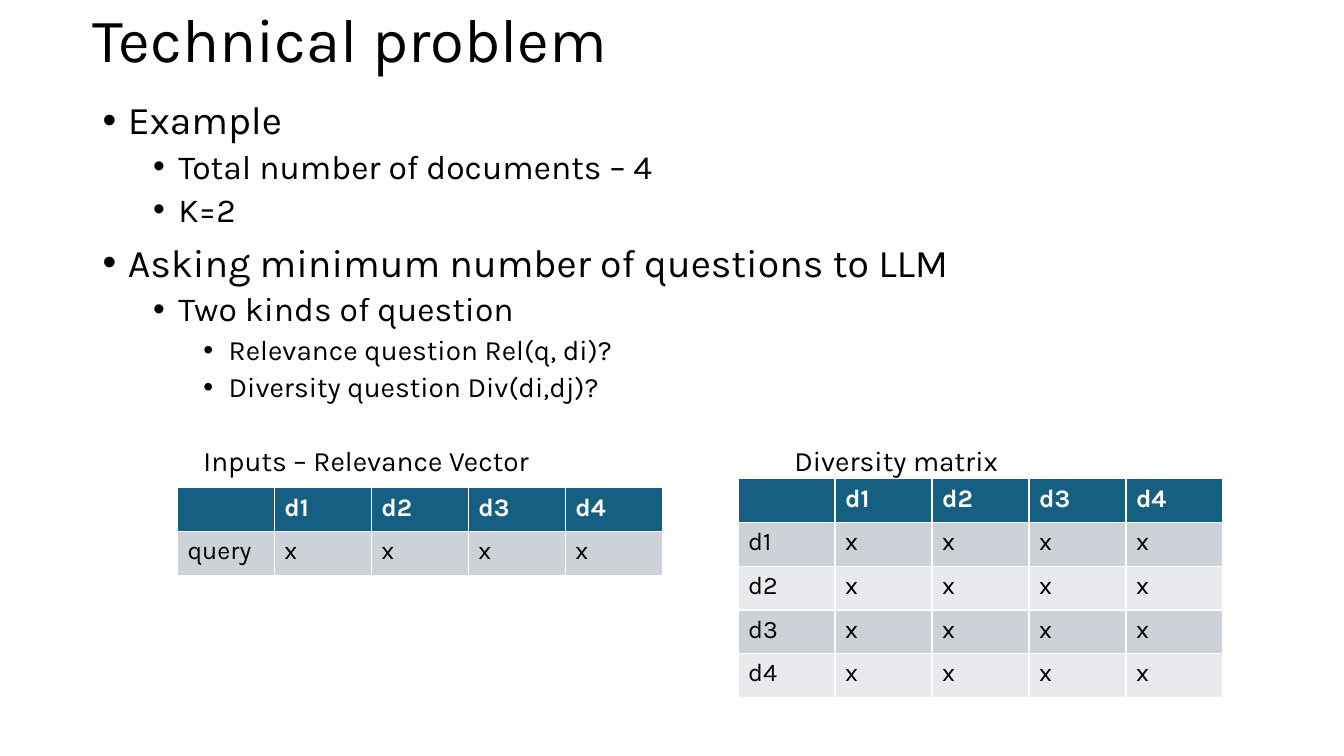
from pptx import Presentation
from pptx.dml.color import RGBColor
from pptx.enum.text import MSO_ANCHOR
from pptx.oxml import parse_xml
from pptx.oxml.ns import nsdecls
from pptx.util import Inches, Pt

FONT = "Karla"
BLACK, WHITE = "000000", "FFFFFF"
HEADER, BANDS = "156082", ("CCD2D8", "E8EAED")
SIZES = (28, 24, 20)
DOCS = ["d1", "d2", "d3", "d4"]
BULLETS = [
    (0, "Example"),
    (1, "Total number of documents – 4"),
    (1, "K=2"),
    (0, "Asking minimum number of questions to LLM"),
    (1, "Two kinds of question"),
    (2, "Relevance question Rel(q, di)?"),
    (2, "Diversity question Div(di,dj)?"),
]
CAPTIONS = [(1, "Inputs – Relevance Vector"), (6.86, "Diversity matrix")]


def rgb(value):
    return RGBColor.from_string(value)


def write(p, text, size, color=BLACK, bold=False):
    r = p.add_run()
    r.text = text
    for name, value in dict(name=FONT, size=Pt(size), bold=bold).items():
        setattr(r.font, name, value)
    r.font.color.rgb = rgb(color)


def add_text_box(slide, box):
    tf = slide.shapes.add_textbox(*map(Inches, box)).text_frame
    tf.word_wrap = True
    return tf


def add_title(slide, box, text):
    tf = add_text_box(slide, box)
    tf.vertical_anchor = MSO_ANCHOR.MIDDLE
    p = tf.paragraphs[0]
    p.line_spacing = 0.9
    write(p, text, 44)


def add_bullet(p, level):
    pPr = p._p.get_or_add_pPr()
    pPr.set("marL", str(Inches(0.25 + 0.5 * level)))
    pPr.set("indent", str(Inches(-0.25)))
    pPr.append(parse_xml(f'<a:buFont {nsdecls("a")} typeface="Arial"/>'))
    pPr.append(parse_xml(f'<a:buChar {nsdecls("a")} char="•"/>'))


def add_tabs(p, stops):
    tabs = "".join(f'<a:tab pos="{Inches(x)}" algn="l"/>' for x in stops)
    p._p.get_or_add_pPr().append(
        parse_xml(f'<a:tabLst {nsdecls("a")}>{tabs}</a:tabLst>'))


def add_body(slide, box):
    tf = add_text_box(slide, box)
    for i, (level, text) in enumerate(BULLETS):
        p = tf.add_paragraph() if i else tf.paragraphs[0]
        add_bullet(p, level)
        p.level = level
        p.line_spacing = 0.9
        if i:
            p.space_before = Pt(5 if level else 10)
        write(p, text, SIZES[level])
    p = tf.add_paragraph()
    add_tabs(p, [x for x, _ in CAPTIONS])
    p.line_spacing = 0.9
    p.space_before = Pt(31.5)
    write(p, "".join("\t" + text for _, text in CAPTIONS), 20)


def add_score_table(slide, box, labels):
    rows = [[""] + DOCS] + [[label] + ["x"] * len(DOCS) for label in labels]
    table = slide.shapes.add_table(
        len(rows), len(rows[0]), *map(Inches, box)).table
    for i, row in enumerate(rows):
        for j, text in enumerate(row):
            cell = table.cell(i, j)
            cell.fill.solid()
            cell.fill.fore_color.rgb = rgb(BANDS[(i - 1) % 2] if i else HEADER)
            if text:
                write(cell.text_frame.paragraphs[0], text, 18,
                      BLACK if i else WHITE, i == 0)


def build_slide(prs):
    slide = prs.slides.add_slide(prs.slide_layouts[6])
    add_title(slide, (0.82, -0.3, 11.5, 1.45), "Technical problem")
    add_body(slide, (0.92, 0.95, 11.5, 5.44))
    add_score_table(slide, (1.76, 4.84, 4.81, 0.87), ["query"])
    add_score_table(slide, (7.32, 4.75, 4.81, 2.17), DOCS)


def main():
    prs = Presentation()
    prs.slide_width, prs.slide_height = Inches(13.33), Inches(7.5)
    build_slide(prs)
    prs.save("out.pptx")


if __name__ == "__main__":
    main()
